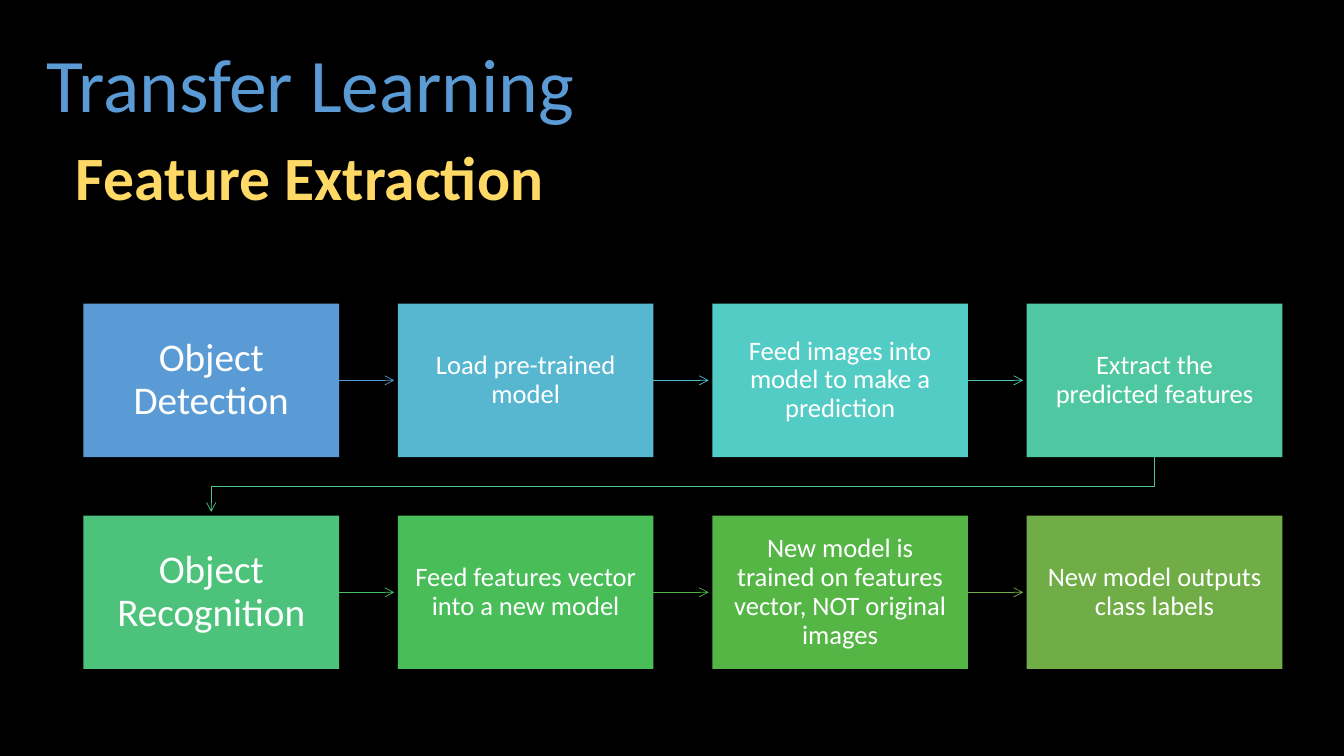
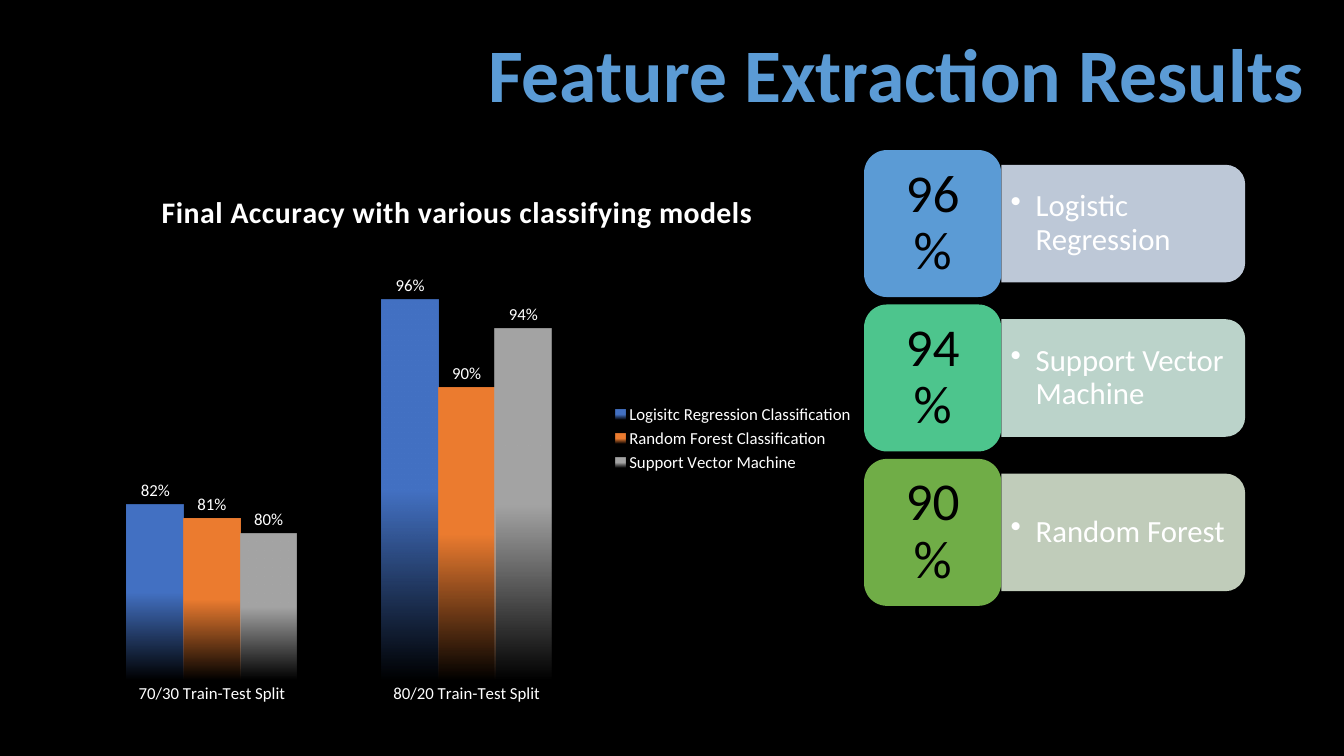
from dataclasses import dataclass

from lxml.etree import SubElement
from pptx import Presentation
from pptx.chart.data import CategoryChartData
from pptx.dml.color import RGBColor
from pptx.enum.chart import XL_CHART_TYPE as ChartType
from pptx.enum.chart import XL_LABEL_POSITION as LabelPosition
from pptx.enum.chart import XL_LEGEND_POSITION as LegendPosition
from pptx.enum.chart import XL_TICK_MARK as TickMark
from pptx.enum.shapes import MSO_CONNECTOR as Connector
from pptx.enum.shapes import MSO_SHAPE as Preset
from pptx.enum.text import MSO_ANCHOR as Anchor
from pptx.enum.text import MSO_AUTO_SIZE as AutoSize
from pptx.enum.text import PP_ALIGN as Align
from pptx.oxml.ns import qn
from pptx.util import Pt


@dataclass(frozen=True)
class Theme:
    font: str = "Calibri"
    black: str = "000000"
    white: str = "FFFFFF"
    blue: str = "5B9BD5"
    gold: str = "FFC000"
    title_blend: tuple = ((0, "1F4E79"), (50, "5B9BD5"), (100, "9DC3E6"))
    subtitle_blend: tuple = ((0, "FFC000"), (4, "FFD966"), (87, "FFF2CC"))
    series: tuple = ("4472C4", "ED7D31", "A5A5A5")
    title_size: float = 54
    subtitle_size: float = 44
    stage_size: float = 28
    step_size: float = 19
    score_size: float = 38
    model_size: float = 22
    chart_title_size: float = 21.3
    chart_size: float = 12


THEME = Theme()


# Formatting helpers
def rgb(value):
    return RGBColor.from_string(value)


def set_alpha(color_element, percent):
    SubElement(color_element, qn("a:alpha")).set("val", str(percent * 1000))


def paint_gradient(fill, owner, stops):
    """Top-to-bottom blend; each stop is (percent, colour[, opacity])."""
    fill.gradient()
    fill.gradient_angle = 270
    stop_list = next(owner.iter(qn("a:gsLst")))
    for old in list(stop_list):
        stop_list.remove(old)
    for position, color, *opacity in stops:
        stop = SubElement(stop_list, qn("a:gs"))
        stop.set("pos", str(position * 1000))
        tone = SubElement(stop, qn("a:srgbClr"))
        tone.set("val", color)
        if opacity:
            set_alpha(tone, opacity[0])


def outline_text(span, color, width):
    properties = span._r.get_or_add_rPr()
    line = SubElement(properties, qn("a:ln"))
    line.set("w", str(Pt(width)))
    fill = SubElement(line, qn("a:solidFill"))
    SubElement(fill, qn("a:srgbClr")).set("val", color)
    properties.insert(0, line)


def style_font(font, size, color, bold=False):
    font.name, font.size, font.bold = THEME.font, Pt(size), bold
    font.color.rgb = rgb(color)


def write(box, text, size, color=THEME.white, bold=False, align=Align.CENTER,
          blend=None, outline=None, insets=None, wrap=True,
          spacing=None, bullet=False):
    frame = box.text_frame
    frame.word_wrap = wrap
    frame.vertical_anchor = Anchor.MIDDLE if wrap else Anchor.TOP
    if insets:
        across, down = map(Pt, insets)
        frame.margin_left = frame.margin_right = across
        frame.margin_top = frame.margin_bottom = down
    para = frame.paragraphs[0]
    para.alignment = align
    if spacing:
        para.line_spacing = spacing
    if bullet:
        properties = para._p.get_or_add_pPr()
        properties.set("marL", str(Pt(18)))
        properties.set("indent", str(-Pt(18)))
        SubElement(properties, qn("a:buChar")).set("char", "•")
    span = para.add_run()
    span.text = text
    style_font(span.font, size, color, bold)
    if blend:
        paint_gradient(span.font.fill, span._r, blend)
    if outline:
        outline_text(span, *outline)


def style_arrow(shape, color):
    shape.line.color.rgb = rgb(color)
    shape.line.width = Pt(0.5)
    line = shape.line._get_or_add_ln()
    SubElement(line, qn("a:tailEnd")).set("type", "arrow")


def place_in_chart(parent, index, **values):
    """Set a manual layout, in fractions of the chart."""
    layout = parent.find(qn("c:layout"))
    if layout is None:
        layout = SubElement(parent, qn("c:layout"))
        parent.insert(index, layout)
    manual = SubElement(layout, qn("c:manualLayout"))
    for name, value in values.items():
        SubElement(manual, qn("c:" + name)).set("val", str(value))


class Builder:
    def __init__(self, deck):
        self.deck = deck
        self.page = None

    def new_page(self):
        self.page = self.deck.slides.add_slide(self.deck.slide_layouts[6])
        fill = self.page.background.fill
        fill.solid()
        fill.fore_color.rgb = rgb(THEME.black)

    def text(self, at, text, size, **style):
        box = self.page.shapes.add_textbox(*map(Pt, at))
        write(box, text, size, **style)
        return box

    def heading(self, at, text, size=THEME.title_size, **style):
        box = self.text(at, text, size, wrap=False, **style)
        box.text_frame.auto_size = AutoSize.SHAPE_TO_FIT_TEXT

    def shape(self, preset, at, color, opacity=None):
        shape = self.page.shapes.add_shape(preset, *map(Pt, at))
        shape.shadow.inherit = False
        shape.fill.solid()
        shape.fill.fore_color.rgb = rgb(color)
        shape.line.fill.background()
        if opacity:
            set_alpha(next(shape._element.iter(qn("a:srgbClr"))), opacity)
        return shape

    def arrow_from(self, box, length, color):
        """Arrow running right from the middle of a box's right side."""
        start, level = box.left + box.width, box.top + box.height // 2
        arrow = self.page.shapes.add_connector(
            Connector.STRAIGHT, start, level, start + Pt(length), level)
        arrow.begin_connect(box, 3)
        style_arrow(arrow, color)
        SubElement(arrow._element.spPr, qn("a:effectLst"))

    def bent_arrow(self, points, color):
        first, *rest = [(Pt(x), Pt(y)) for x, y in points]
        outline = self.page.shapes.build_freeform(*first)
        outline.add_line_segments(rest, close=False)
        arrow = outline.convert_to_shape()
        arrow.shadow.inherit = False
        arrow.fill.background()
        style_arrow(arrow, color)

    def column_chart(self, at, title, categories, series, floor, ceiling):
        data = CategoryChartData(number_format="0%")
        data.categories = categories
        for name, values in series:
            data.add_series(name, values)
        chart = self.page.shapes.add_chart(
            ChartType.COLUMN_CLUSTERED, *map(Pt, at), data).chart
        style_font(chart.font, THEME.chart_size, THEME.white)

        # Title and legend
        chart.has_title = True
        span = chart.chart_title.text_frame.paragraphs[0].add_run()
        span.text = title
        style_font(span.font, THEME.chart_title_size, THEME.white, bold=True)
        span._r.get_or_add_rPr().set("spc", "50")
        place_in_chart(chart.chart_title._element, 1,
                       xMode="edge", yMode="edge", x=0.11, y=0.04)
        chart.has_legend = True
        chart.legend.position = LegendPosition.RIGHT
        chart.legend.include_in_layout = False
        style_font(chart.legend.font, THEME.chart_size, THEME.white)

        # Axes
        values_axis, names_axis = chart.value_axis, chart.category_axis
        values_axis.minimum_scale, values_axis.maximum_scale = floor, ceiling
        values_axis.has_major_gridlines = False
        values_axis.visible = False
        names_axis.major_tick_mark = TickMark.NONE
        names_axis.format.line.fill.background()
        style_font(names_axis.tick_labels.font, THEME.chart_size, THEME.white)

        # Columns fading out towards the axis
        plot = chart.plots[0]
        plot.gap_width, plot.overlap = 150, 0
        plot.vary_by_categories = False
        for column, color in zip(plot.series, THEME.series):
            paint_gradient(column.format.fill, column._element,
                           ((50, color), (100, color, 0)))
            column.format.line.fill.background()
            labels = column.data_labels
            labels.show_value = True
            labels.number_format = "0%"
            labels.number_format_is_linked = False
            labels.position = LabelPosition.OUTSIDE_END
            style_font(labels.font, THEME.chart_size, THEME.white)
        place_in_chart(next(chart._chartSpace.iter(qn("c:plotArea"))), 0,
                       layoutTarget="inner", xMode="edge", yMode="edge",
                       x=0.02, y=0.14, w=0.64, h=0.8)


# Slide 1: process in two rows of four boxes
STEPS = (  # text, box colour, colour of the arrow that leaves it
    ("Object Detection", "5B9BD5", "5B9BD5"),
    ("Load pre-trained model", "57B7D1", "56BCD0"),
    ("Feed images into model to make a prediction", "53CCC5", "52CAB8"),
    ("Extract the predicted features", "4FC7A0", "4DC58D"),
    ("Object Recognition", "4CC27B", "49BF64"),
    ("Feed features vector into a new model", "48BD58", "50B846"),
    ("New model is trained on features vector, NOT original images",
     "55B646", "70AD47"),
    ("New model outputs class labels", "70AD47", None),
)


def process_slide(builder):
    builder.new_page()
    builder.heading((23.8, 23, 396, 72.7), "Transfer Learning",
                    color=THEME.blue, blend=THEME.title_blend)
    builder.heading((45.4, 95.8, 352, 60.5), "Feature Extraction",
                    THEME.subtitle_size, bold=True, color=THEME.gold,
                    blend=THEME.subtitle_blend, outline=(THEME.gold, 1))

    left, top, width, height = 59.6, 216.9, 182.6, 109.6
    pitch_x, pitch_y, columns = 224.6, 151.4, 4
    gap_x, gap_y, clearance = pitch_x - width, pitch_y - height, 2.6
    for index, (text, color, arrow_color) in enumerate(STEPS):
        row, column = divmod(index, columns)
        x, y = left + column * pitch_x, top + row * pitch_y
        box = builder.shape(Preset.RECTANGLE, (x, y, width, height), color)
        size, inset = ((THEME.stage_size, 15.7) if column == 0
                       else (THEME.step_size, 10.6))
        write(box, text, size, insets=(inset, inset), spacing=0.9)
        if column < columns - 1:
            builder.arrow_from(box, gap_x - clearance, arrow_color)
        elif arrow_color:
            start, end = x + width / 2, left + width / 2
            bottom = y + height
            turn = bottom + gap_y / 2
            builder.bent_arrow(((start, bottom), (start, turn), (end, turn),
                                (end, bottom + gap_y - clearance)),
                               arrow_color)


# Slide 2: chart and scores
SCORES = (
    ("96%", "Logistic Regression", "5B9BD5", "D2DEEF"),
    ("94%", "Support Vector Machine", "4DC58D", "D0EAE1"),
    ("90%", "Random Forest", "70AD47", "D5E3CF"),
)


def results_slide(builder):
    builder.new_page()
    builder.heading((338.4, 15.8, 603.4, 72.7), "Feature Extraction Results",
                    bold=True, color=THEME.blue, outline=(THEME.black, 0.75))
    builder.column_chart(
        (49, 117.4, 568.8, 391.7),
        "Final Accuracy with various classifying models",
        ("70/30 Train-Test Split", "80/20 Train-Test Split"),
        (("Logisitc Regression Classification", (0.82, 0.96)),
         ("Random Forest Classification", (0.81, 0.9)),
         ("Support Vector Machine", (0.8, 0.94))),
        floor=0.7, ceiling=1)

    left, top, width, height, pitch = 617.2, 107.2, 98, 105, 110.3
    panel_width, panel_height = 174.2, 84
    panel_left = left + width
    for index, (score, model, color, tint) in enumerate(SCORES):
        y = top + index * pitch
        middle = y + height / 2
        # The panel is turned a quarter, so its sides are swapped
        panel = builder.shape(
            Preset.ROUND_2_SAME_RECTANGLE,
            (panel_left + (panel_width - panel_height) / 2,
             middle - panel_width / 2, panel_height, panel_width), tint, 90)
        panel.rotation = 90
        builder.text((panel_left, middle - 38, 170, 76), model,
                     THEME.model_size, align=Align.LEFT, insets=(6.6, 3.3),
                     spacing=0.9, bullet=True)
        badge = builder.shape(Preset.ROUNDED_RECTANGLE,
                              (left, y, width, height), color)
        write(badge, score, THEME.score_size, color=THEME.black,
              insets=(12, 5.7), spacing=0.9)


def main():
    deck = Presentation()
    deck.slide_width, deck.slide_height = Pt(960), Pt(540)
    builder = Builder(deck)
    process_slide(builder)
    results_slide(builder)
    deck.save("out.pptx")


if __name__ == "__main__":
    main()
